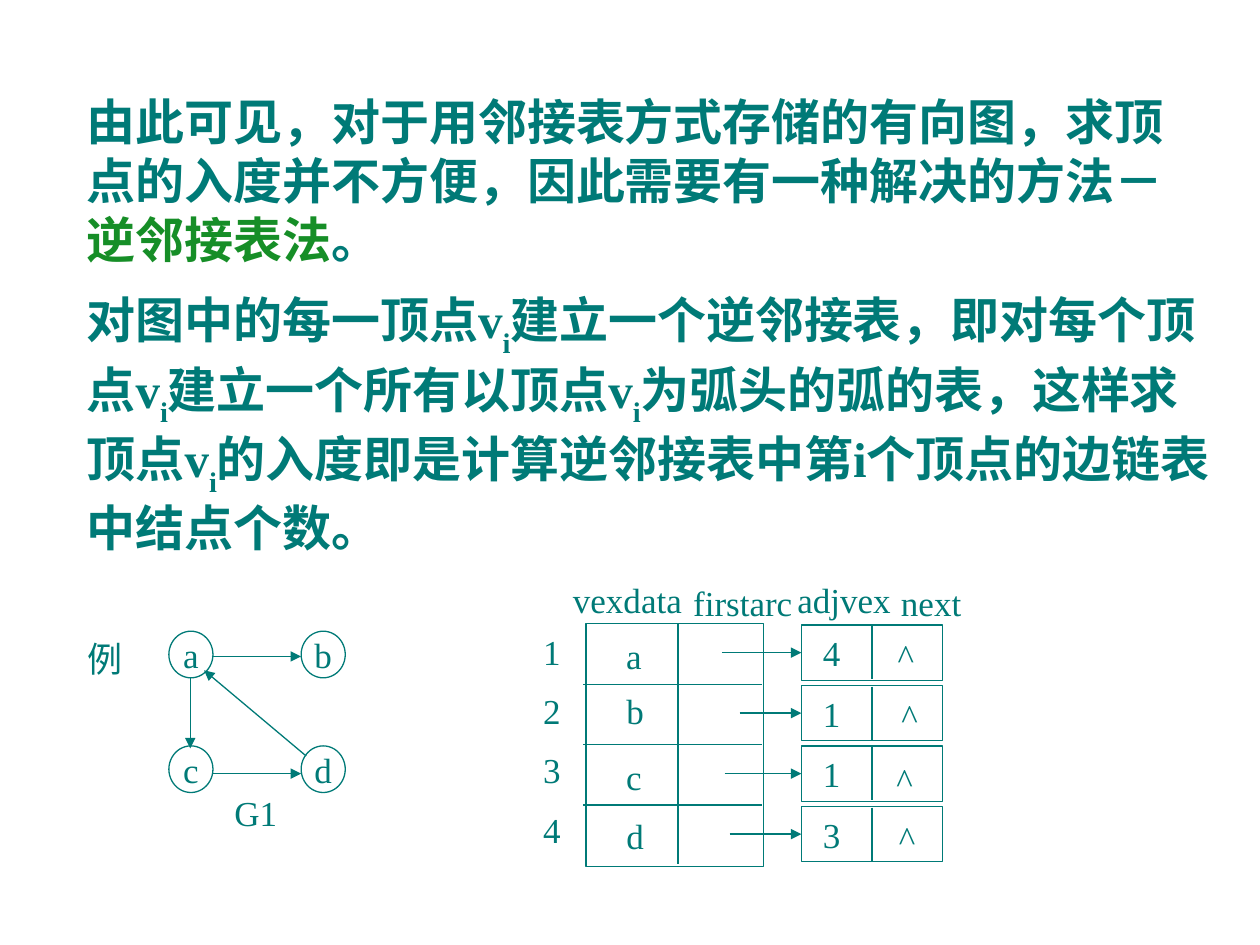
from dataclasses import dataclass
from typing import Optional

from lxml import etree
from pptx import Presentation
from pptx.dml.color import RGBColor
from pptx.enum.shapes import MSO_CONNECTOR, MSO_SHAPE
from pptx.enum.text import MSO_ANCHOR, PP_ALIGN
from pptx.oxml.ns import qn
from pptx.util import Inches, Pt

LINE = MSO_CONNECTOR.STRAIGHT
OVAL, RECT = MSO_SHAPE.OVAL, MSO_SHAPE.RECTANGLE
MID = MSO_ANCHOR.MIDDLE
LEFT, CENTER = PP_ALIGN.LEFT, PP_ALIGN.CENTER
TEAL, GREEN = "007A77", "168E27"
LATIN, HAN = "Times New Roman", "Noto Sans CJK SC"


@dataclass
class Label:
    text: str
    x: float
    y: float
    w: float = 0.34


@dataclass
class Entry:
    name: Label
    start: float
    value: str
    mark: Label


@dataclass
class Part:
    text: str
    color: str = TEAL
    sub: bool = False


def paint(color: str) -> RGBColor:
    return RGBColor.from_string(color)


def style(run, size: float, color: str = TEAL, bold: bool = False) -> None:
    font = run.font
    font.size, font.bold, font.name = Pt(size), bold, LATIN
    font.color.rgb = paint(color)
    etree.SubElement(run._r.get_or_add_rPr(), qn("a:ea"), typeface=HAN)


def write(shape, text: str, align=CENTER, wrap: bool = False) -> None:
    frame = shape.text_frame
    frame.text = text
    frame.word_wrap = wrap
    frame.vertical_anchor = MID
    para = frame.paragraphs[0]
    para.alignment = align
    style(para.runs[0], 20)


def add_label(slide, label: Label) -> None:
    box = slide.shapes.add_textbox(
        Inches(label.x), Inches(label.y), Inches(label.w), Inches(0.44))
    write(box, label.text)
    box.text_frame.margin_left = box.text_frame.margin_right = 0


def add_prose(slide, x: float, y: float, w: float, h: float,
              parts: list[Part], pitch: Optional[float] = None) -> None:
    box = slide.shapes.add_textbox(Inches(x), Inches(y), Inches(w), Inches(h))
    box.text_frame.word_wrap = True
    para = box.text_frame.paragraphs[0]
    if pitch:
        para.line_spacing = Pt(pitch)
    for part in parts:
        run = para.add_run()
        run.text = part.text
        style(run, 28, part.color, True)
        if part.sub:
            run._r.rPr.set("baseline", "-30000")


def add_shape(slide, kind, x: float, y: float, w: float, h: float):
    shape = slide.shapes.add_shape(
        kind, Inches(x), Inches(y), Inches(w), Inches(h))
    shape.shadow.inherit = False
    shape.fill.background()
    shape.line.color.rgb = paint(TEAL)
    shape.line.width = Pt(0.75)
    return shape


def add_line(slide, x1: float, y1: float, x2: float, y2: float,
             arrow: bool = False):
    line = slide.shapes.add_connector(
        LINE, Inches(x1), Inches(y1), Inches(x2), Inches(y2))
    line.line.color.rgb = paint(TEAL)
    line.line.width = Pt(0.75)
    if arrow:
        etree.SubElement(line.line._get_or_add_ln(), qn("a:tailEnd"),
                         type="triangle")
    etree.SubElement(line._element.spPr, qn("a:effectLst"))
    return line


def add_graph(slide) -> None:
    add_label(slide, Label("例", 0.59, 5.01, 0.48))
    add_label(slide, Label("G1", 1.76, 6.23, 0.54))
    for i, name in enumerate("abcd"):
        row, col = divmod(i, 2)
        node = add_shape(slide, OVAL, 1.34 + 1.05 * col, 5.01 + 0.91 * row,
                         0.35, 0.37)
        write(node, name)
    for ends in ((1.68, 5.21, 2.39, 5.21), (1.68, 6.14, 2.39, 6.14),
                 (1.51, 5.38, 1.51, 5.94), (2.43, 6, 1.62, 5.32)):
        add_line(slide, *ends, arrow=True)


def add_lists(slide) -> None:
    heads = [Label("vexdata", 4.45, 4.54, 1.06),
             Label("firstarc", 5.4, 4.56, 0.99),
             Label("adjvex", 6.23, 4.54, 0.94),
             Label("next", 7.05, 4.56, 0.68)]
    for head in heads:
        add_label(slide, head)
    add_shape(slide, RECT, 4.65, 4.95, 1.41, 1.93)
    add_line(slide, 5.38, 4.95, 5.38, 6.86)
    for i in range(1, 4):
        y = 4.95 + 0.48 * i
        add_line(slide, 4.63, y, 6.05, y)

    entries = [
        Entry(Label("a", 4.87, 4.98, 0.32), 5.73, "4", Label("^", 7.02, 4.98)),
        Entry(Label("b", 4.87, 5.42), 5.87, "1", Label("^", 7.05, 5.46)),
        Entry(Label("c", 4.87, 5.94, 0.32), 5.75, "1", Label("^", 7.01, 5.97)),
        Entry(Label("d", 4.87, 6.41), 5.79, "3", Label("^", 7.03, 6.43)),
    ]
    for i, entry in enumerate(entries):
        y = 4.96 + 0.48 * i
        add_label(slide, Label(str(i + 1), 4.21, 4.95 + 0.47 * i))
        add_label(slide, entry.name)
        cell = add_shape(slide, RECT, 6.36, y, 1.12, 0.44)
        write(cell, entry.value, LEFT, True)
        cell.text_frame.margin_left = Inches(0.17)
        add_line(slide, 6.92, y + 0.01, 6.92, y + 0.43)
        link = add_line(slide, entry.start, y + 0.22, 6.36, y + 0.22, True)
        link.end_connect(cell, 1)
        add_label(slide, entry.mark)


def main() -> None:
    deck = Presentation()
    deck.slide_width, deck.slide_height = Inches(10), Inches(7.5)
    slide = deck.slides.add_slide(deck.slide_layouts[6])
    add_prose(slide, 0.59, 0.68, 8.92, 1.5, [
        Part("由此可见，对于用邻接表方式存储的有向图，求顶点的入度并不方便，"
             "因此需要有一种解决的方法－"),
        Part("逆邻接表法", GREEN),
        Part("。")], 33.7)
    pieces = ["对图中的每一顶点v", "建立一个逆邻接表，即对每个顶点v",
              "建立一个所有以顶点v", "为弧头的弧的表，这样求顶点v"]
    parts = [part for piece in pieces
             for part in (Part(piece), Part("i", sub=True))]
    parts.append(Part("的入度即是计算逆邻接表中第i个顶点的边链表中结点个数。"))
    add_prose(slide, 0.59, 2.25, 9.17, 2.22, parts)
    add_graph(slide)
    add_lists(slide)
    deck.save("out.pptx")


if __name__ == "__main__":
    main()
